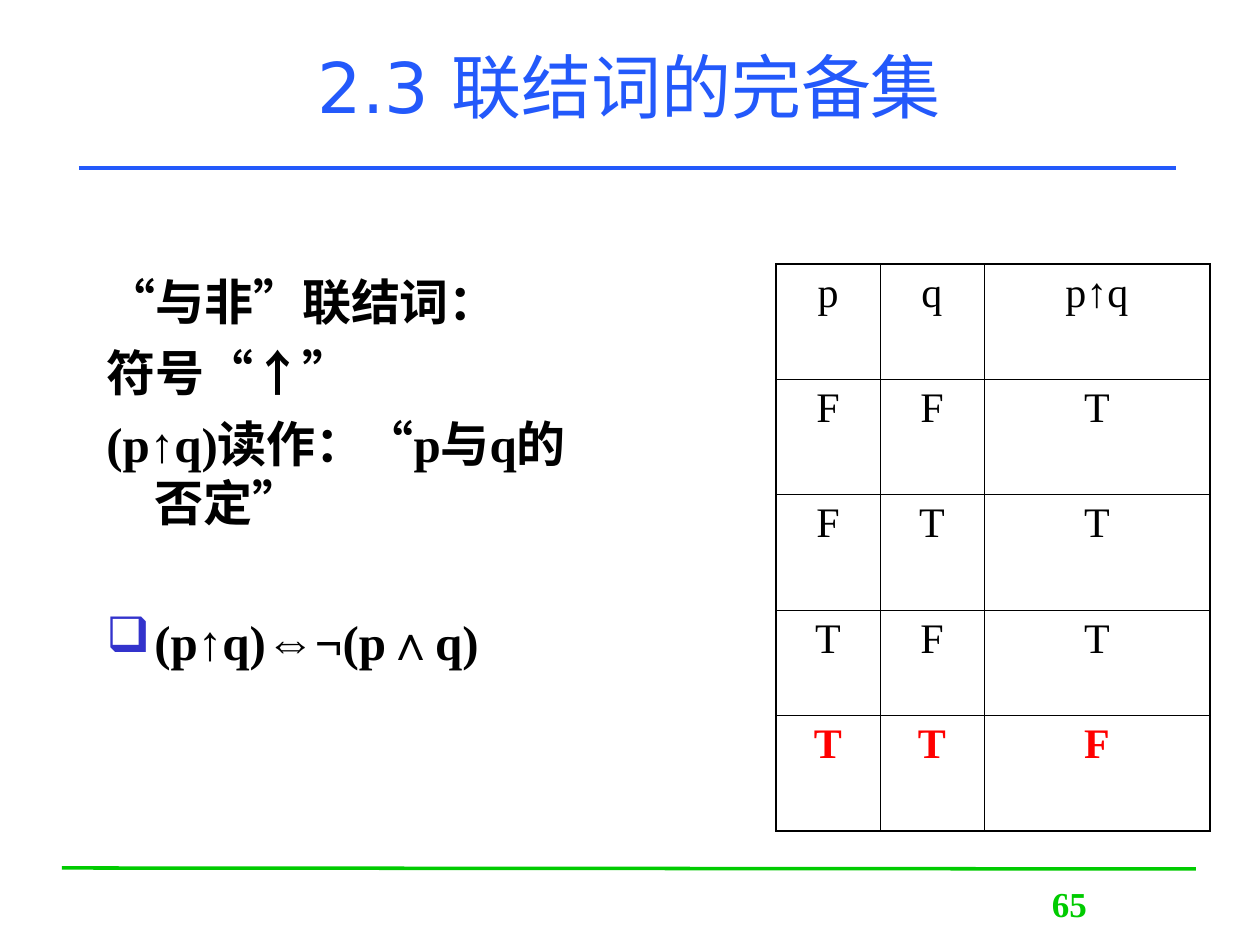
from lxml import etree
from pptx import Presentation
from pptx.dml.color import RGBColor
from pptx.enum.shapes import MSO_CONNECTOR
from pptx.enum.text import MSO_ANCHOR, PP_ALIGN
from pptx.oxml.ns import qn
from pptx.util import Pt

LEFT, CENTER = PP_ALIGN.LEFT, PP_ALIGN.CENTER
TOP, MIDDLE = MSO_ANCHOR.TOP, MSO_ANCHOR.MIDDLE
STRAIGHT = MSO_CONNECTOR.STRAIGHT

EMU_PER_PX = 914400 / 126
SERIF, SANS, SYMBOL = "Times New Roman", "DejaVu Sans", "Arial"
BLACK, BLUE, GREEN, RED, BULLET = "000000", "2359FB", "00CB00", "FF0000", "3333CC"

HANGING = 48
COLUMNS = [104, 104, 226]
ROWS = [115, 115, 116, 105, 116]
TRUTH_TABLE = ["p q p↑q", "F F T", "F T T", "T F T", "T T F"]
OUTER_BORDER, INNER_BORDER = 1.08, 0.45


def px(length):
    return round(length * EMU_PER_PX)


def color(value):
    return RGBColor.from_string(value)


def format_runs(paragraph, size, font, fill, bold=False):
    for run in paragraph.runs:
        run.font.size = Pt(size)
        run.font.name = font
        run.font.bold = bold
        run.font.color.rgb = color(fill)


def add_rule(slide, start, end, stroke):
    rule = slide.shapes.add_connector(STRAIGHT, *map(px, start + end))
    rule.line.color.rgb = color(stroke)
    rule.line.width = Pt(2)
    etree.SubElement(rule._element.spPr, qn("a:effectLst"))


def add_text_box(slide, box, anchor=TOP):
    text_frame = slide.shapes.add_textbox(*map(px, box)).text_frame
    text_frame.word_wrap = True
    text_frame.vertical_anchor = anchor
    return text_frame


def add_label(slide, box, text, size, font, fill, bold=False, anchor=TOP):
    paragraph = add_text_box(slide, box, anchor).paragraphs[0]
    paragraph.text = text
    paragraph.alignment = CENTER
    format_runs(paragraph, size, font, fill, bold)


def set_hanging_indent(paragraph, bullet=None):
    properties = paragraph._p.get_or_add_pPr()
    properties.set("marL", str(px(HANGING)))
    properties.set("indent", str(-px(HANGING)))
    if bullet:
        bullet_color = etree.SubElement(properties, qn("a:buClr"))
        etree.SubElement(bullet_color, qn("a:srgbClr"), val=BULLET)
        etree.SubElement(properties, qn("a:buChar"), char=bullet)
    else:
        etree.SubElement(properties, qn("a:buNone"))


def add_definition(slide):
    text_frame = add_text_box(slide, (94, 185, 526, 674))
    text_frame.margin_top = px(86)
    # Runs, space before in points, bullet
    lines = [
        (["“与非”联结词："], 0, None),
        (["符号“↑”"], 7, None),
        (["(p↑q)读作：“p与q的否定”"], 7, None),
        (["(p↑q)", "⇔", "¬(p∧q)"], 46, "❑"),
    ]
    for index, (texts, space_before, bullet) in enumerate(lines):
        paragraph = text_frame.add_paragraph() if index else text_frame.paragraphs[0]
        for text in texts:
            paragraph.add_run().text = text
        paragraph.alignment = LEFT
        paragraph.space_before = Pt(space_before)
        set_hanging_indent(paragraph, bullet)
        format_runs(paragraph, 28, SERIF, BLACK, bold=True)
        for run in paragraph.runs:
            if run.text == "⇔":
                run.font.name = SYMBOL


def set_borders(cell, outer_sides):
    properties = cell._tc.get_or_add_tcPr()
    for index, side in enumerate("LRTB"):
        width = OUTER_BORDER if side in outer_sides else INNER_BORDER
        border = etree.Element(qn(f"a:ln{side}"), w=str(Pt(width)))
        fill = etree.SubElement(border, qn("a:solidFill"))
        etree.SubElement(fill, qn("a:srgbClr"), val=BLACK)
        properties.insert(index, border)


def add_truth_table(slide):
    box = (776, 264, sum(COLUMNS), sum(ROWS))
    table = slide.shapes.add_table(len(ROWS), len(COLUMNS), *map(px, box)).table
    table.first_row = False
    table.horz_banding = False
    for column, width in zip(table.columns, COLUMNS):
        column.width = px(width)
    last_row, last_column = len(ROWS) - 1, len(COLUMNS) - 1
    for row, (height, values) in enumerate(zip(ROWS, TRUTH_TABLE)):
        table.rows[row].height = px(height)
        highlighted = row == last_row
        for column, value in enumerate(values.split()):
            cell = table.cell(row, column)
            cell.fill.background()
            edges = {"L": column == 0, "R": column == last_column,
                     "T": row == 0, "B": row == last_row}
            set_borders(cell, [side for side, outer in edges.items() if outer])
            paragraph = cell.text_frame.paragraphs[0]
            paragraph.text = value
            paragraph.alignment = CENTER
            paragraph.space_before = Pt(6)
            format_runs(paragraph, 24, SERIF, RED if highlighted else BLACK, highlighted)


def main():
    presentation = Presentation()
    presentation.slide_width, presentation.slide_height = px(1260), px(945)
    slide = presentation.slides.add_slide(presentation.slide_layouts[6])

    # Rules and page number
    add_rule(slide, (62, 868), (1196, 869), GREEN)
    add_rule(slide, (79, 168), (1176, 168), BLUE)
    add_label(slide, (970, 876, 199, 63), "65", 20, SERIF, GREEN, bold=True)

    # Title
    add_label(slide, (94, 6, 1071, 158), "2.3 联结词的完备集", 40, SANS, BLUE, anchor=MIDDLE)

    # Definition and truth table
    add_definition(slide)
    add_truth_table(slide)

    presentation.save("out.pptx")


if __name__ == "__main__":
    main()
